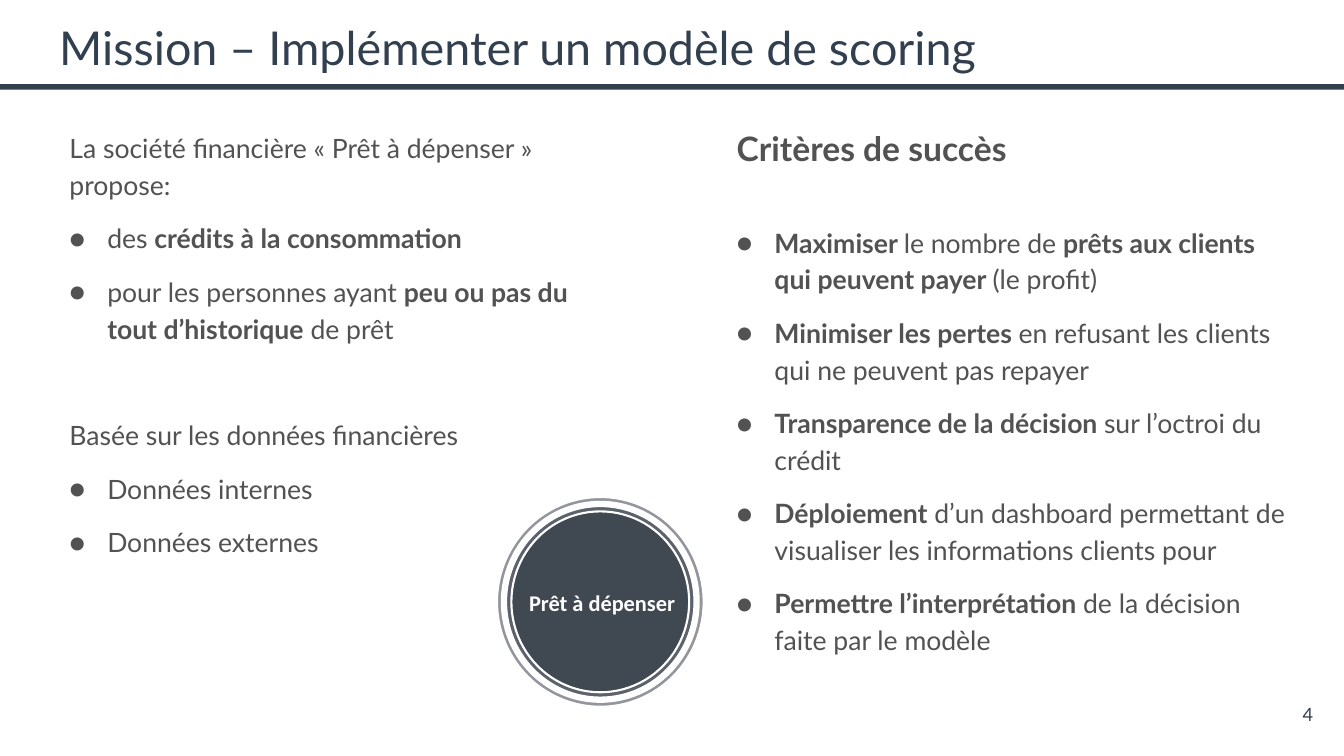
from lxml.etree import SubElement
from pptx import Presentation
from pptx.dml.color import RGBColor
from pptx.enum.shapes import MSO_SHAPE
from pptx.enum.text import MSO_ANCHOR, MSO_AUTO_SIZE, PP_ALIGN
from pptx.oxml.ns import qn
from pptx.util import Pt

NAVY, DISC, GREY, WHITE = "323F4F", "262F3B", "525252", "FFFFFF"
INSET = 9.6
BULLET_INDENT, BULLET_HANG, PLAIN_INDENT = 36, 27, 9

# Each paragraph: (kind, space before, runs); each run: (text, bold)
OFFER = [
    ("plain", 0, [("La société financière « Prêt à dépenser » propose:", False)]),
    ("bullet", 12, [("des ", False), ("crédits à la consommation", True)]),
    ("bullet", 12, [("pour les personnes ayant ", False),
                    ("peu ou pas du tout d’historique", True), (" de prêt", False)]),
    ("plain", 50, [("Basée sur les données financières", False)]),
    ("bullet", 12, [("Données internes", False)]),
    ("bullet", 12, [("Données externes", False)]),
]
CRITERIA = [
    ("heading", 0, [("Critères de succès", True)]),
    ("bullet", 38, [("Maximiser ", True), ("le nombre de ", False),
                    ("prêts aux clients qui peuvent payer ", True), ("(le profit)", False)]),
    ("bullet", 12, [("Minimiser les pertes ", True),
                    ("en refusant les clients qui ne peuvent pas repayer", False)]),
    ("bullet", 12, [("Transparence de la décision ", True), ("sur l’octroi du crédit", False)]),
    ("bullet", 12, [("Déploiement", True),
                    (" d’un dashboard permettant de visualiser les informations clients pour", False)]),
    ("bullet", 12, [("Permettre l’interprétation", True),
                    (" de la décision faite par le modèle", False)]),
]


def rgb(value):
    return RGBColor.from_string(value)


def style_font(font, name, size, color, bold=False):
    font.name, font.size, font.bold = name, Pt(size), bold
    font.color.rgb = rgb(color)


def set_frame(tf, anchor=MSO_ANCHOR.TOP):
    tf.word_wrap, tf.auto_size = True, MSO_AUTO_SIZE.NONE
    tf.vertical_anchor = anchor
    tf.margin_left = tf.margin_right = tf.margin_top = tf.margin_bottom = Pt(INSET)


def add_bullet(p):
    pPr = p._p.get_or_add_pPr()
    color = SubElement(pPr, qn("a:buClr"))
    SubElement(color, qn("a:srgbClr"), val=GREY)
    SubElement(pPr, qn("a:buFont"), typeface="Lato")
    SubElement(pPr, qn("a:buChar"), char="●")


def add_header(slide, left, top, width, height):
    rule = slide.shapes.add_shape(MSO_SHAPE.RECTANGLE, 0, Pt(top + 56.4),
                                  Pt(960), Pt(4))
    rule.shadow.inherit = False
    rule.fill.solid()
    rule.fill.fore_color.rgb = rgb(NAVY)
    rule.line.fill.background()
    title = slide.shapes.title
    title.left, title.top, title.width, title.height = Pt(left), Pt(top), Pt(width), Pt(height)
    set_frame(title.text_frame)
    p = title.text_frame.paragraphs[0]
    p.alignment = PP_ALIGN.LEFT
    r = p.add_run()
    r.text = "Mission – Implémenter un modèle de scoring"
    style_font(r.font, "Lato", 33.3, NAVY)


def add_column(slide, paragraphs, left, top, width, height):
    tf = slide.shapes.add_textbox(Pt(left), Pt(top), Pt(width), Pt(height)).text_frame
    set_frame(tf)
    for i, (kind, before, runs) in enumerate(paragraphs):
        p = tf.add_paragraph() if i else tf.paragraphs[0]
        p.line_spacing, p.space_before = 1.15, Pt(before)
        pPr = p._p.get_or_add_pPr()
        if kind == "bullet":
            pPr.set("marL", str(Pt(BULLET_INDENT)))
            pPr.set("indent", str(-Pt(BULLET_HANG)))
            add_bullet(p)
        else:
            pPr.set("marL", str(Pt(PLAIN_INDENT)))
        for text, bold in runs:
            r = p.add_run()
            r.text = text
            style_font(r.font, "Lato", 24 if kind == "heading" else 19, GREY, bold)


def add_badge(slide, left, top, width, height):
    """Concentric half-transparent discs with white outlines and a label."""
    group = slide.shapes.add_group_shape()
    for inset, line_width in ((0, 1.5), (5, 4.5), (10.3, 1.5)):
        sp = group.shapes.add_shape(MSO_SHAPE.OVAL, Pt(left + inset), Pt(top + inset),
                                    Pt(width - 2 * inset), Pt(height - 2 * inset))
        sp.shadow.inherit = False
        sp.fill.solid()
        sp.fill.fore_color.rgb = rgb(DISC)
        color = sp._element.spPr.find(qn("a:solidFill"))[0]
        SubElement(color, qn("a:alpha"), val="50000")
        sp.line.color.rgb = rgb(WHITE)
        sp.line.width = Pt(line_width)
    label = group.shapes.add_textbox(Pt(left + 15.8), Pt(top + 62.6), Pt(120), Pt(26.6))
    tf = label.text_frame
    tf.word_wrap, tf.auto_size = False, MSO_AUTO_SIZE.SHAPE_TO_FIT_TEXT
    r = tf.paragraphs[0].add_run()
    r.text = "Prêt à dépenser"
    style_font(r.font, "Calibri", 16, WHITE, True)


def add_page_number(slide, number, left, top, width, height):
    tf = slide.shapes.add_textbox(Pt(left), Pt(top), Pt(width), Pt(height)).text_frame
    set_frame(tf, MSO_ANCHOR.MIDDLE)
    p = tf.paragraphs[0]
    p.alignment = PP_ALIGN.RIGHT
    r = p.add_run()
    r.text = number
    style_font(r.font, "Lato", 13, NAVY)


def main():
    prs = Presentation()
    prs.slide_width, prs.slide_height = Pt(960), Pt(540)
    slide = prs.slides.add_slide(prs.slide_layouts[5])
    slide.background.fill.solid()
    slide.background.fill.fore_color.rgb = rgb(WHITE)
    add_header(slide, 32.7, 3.6, 894.5, 59.8)
    add_column(slide, OFFER, 31, 81.4, 420, 411)
    add_column(slide, CRITERIA, 507.6, 77.8, 420, 418)
    add_page_number(slide, "4", 844.6, 489.6, 103, 41)
    add_badge(slide, 355, 355, 147.6, 149.8)
    prs.save("out.pptx")


if __name__ == "__main__":
    main()
